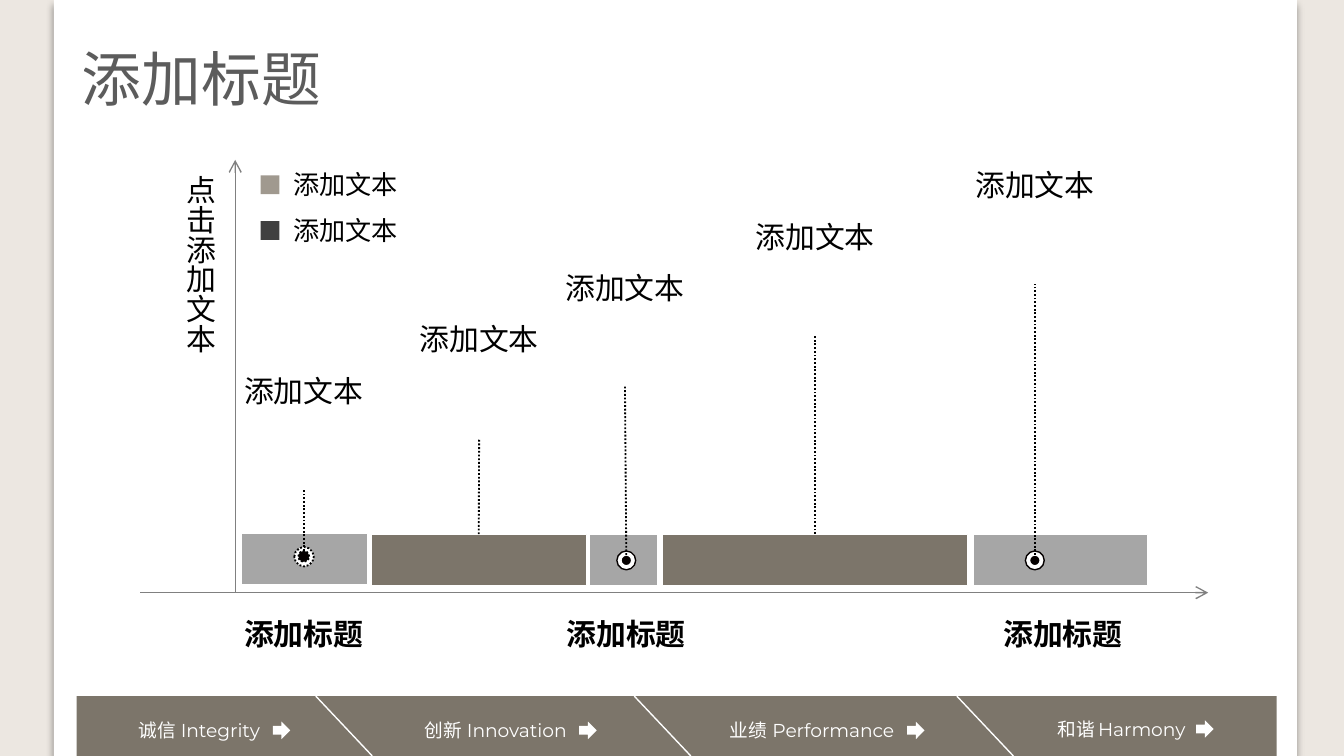
from dataclasses import dataclass

from pptx import Presentation
from pptx.dml.color import RGBColor
from pptx.enum.dml import MSO_LINE
from pptx.enum.shapes import MSO_CONNECTOR, MSO_SHAPE as SHAPE
from pptx.enum.text import MSO_ANCHOR, PP_ALIGN as ALIGN
from pptx.oxml import parse_xml
from pptx.oxml.ns import nsdecls, qn
from pptx.oxml.xmlchemy import OxmlElement
from pptx.util import Pt

PX = 4572  # 200 px to the inch


@dataclass(frozen=True)
class Theme:
    cjk: str = "Noto Sans CJK SC"
    latin: str = "Montserrat"
    black: str = "000000"
    white: str = "FFFFFF"
    dot: str = "050000"
    margin: str = "ECE7E1"
    taupe: str = "7C756A"
    light_taupe: str = "A0998F"
    charcoal: str = "404040"
    axis: str = "808080"
    gray: str = "A6A6A6"
    title_size: int = 32
    label_size: int = 16
    legend_size: int = 14
    footer_size: int = 10


T = Theme()
prs = Presentation()
prs.slide_width, prs.slide_height = 2000 * PX, 1125 * PX
s = prs.slides.add_slide(prs.slide_layouts[5])
title = s.shapes.title


def add_box(box, fill=None, text="", size=T.label_size, color=T.black, font=T.cjk,
            align=ALIGN.CENTER, wrap=True, kind=SHAPE.RECTANGLE, outline=None):
    """Add a filled preset shape, or a text box when no fill is given."""
    place = [v * PX for v in box]
    if fill:
        sp = s.shapes.add_shape(kind, *place)
        sp.shadow.inherit = False
        sp.fill.solid()
        sp.fill.fore_color.rgb = RGBColor.from_string(fill)
        if outline:
            sp.line.color.rgb = RGBColor.from_string(outline)
            sp.line.width = 0
        else:
            sp.line.fill.background()
        return sp
    sp = s.shapes.add_textbox(*place)
    tf = sp.text_frame
    tf.word_wrap = wrap
    tf.text = text
    p = tf.paragraphs[0]
    p.alignment = align
    r = p.runs[0]
    r.font.size = Pt(size)
    r.font.name = font
    r.font.color.rgb = RGBColor.from_string(color)
    r.font._element.append(parse_xml(f'<a:ea {nsdecls("a")} typeface="{font}"/>'))
    return sp


def add_line(x1, y1, x2, y2, color, width=0.75, dotted=False, arrow=False):
    line = s.shapes.add_connector(MSO_CONNECTOR.STRAIGHT, x1 * PX, y1 * PX, x2 * PX, y2 * PX)
    line.line.color.rgb = RGBColor.from_string(color)
    line.line.width = Pt(width)
    if dotted:
        line.line.dash_style = MSO_LINE.ROUND_DOT
    if arrow:
        tail = OxmlElement("a:tailEnd")
        tail.set("type", "arrow")
        line.line._ln.append(tail)
    line._element.spPr.append(OxmlElement("a:effectLst"))
    return line


# Background page and footer band
add_box((0, 0, 2000, 1125), T.margin)
page = add_box((80, 0, 1850, 1125), T.white)
page._element.spPr.find(qn("a:effectLst")).append(parse_xml(
    f'<a:outerShdw {nsdecls("a")} blurRad="50800" dist="38100" dir="5400000">'
    '<a:srgbClr val="000000"><a:alpha val="40000"/></a:srgbClr></a:outerShdw>'))
add_box((114, 1036, 1786, 89), T.taupe)

for left, top, width, chinese, english in (
        (186, 1060, 172, "诚信", "Integrity"),
        (612, 1060, 202, "创新", "Innovation"),
        (1066, 1060, 236, "业绩", "Performance"),
        (1554, 1058, 178, "和谐", "Harmony")):
    footer = dict(size=T.footer_size, color=T.white, wrap=False)
    add_box((left + 56, top, width, 54), text=english, font=T.latin, **footer)
    add_box((left + 48 + width, top + 14, 26, 26), T.white, kind=SHAPE.RIGHT_ARROW)
    add_box((left, top, 96, 54), text=chinese, **footer)
for x in (470, 944, 1424):
    add_line(x, 1036, x + 84, 1125, T.white)

# Title, brought in front of the page
s.shapes._spTree.append(title._element)
title.left, title.top, title.width, title.height = [v * PX for v in (102, 52, 400, 128)]
tf = title.text_frame
tf.text = "添加标题"
tf.word_wrap = False
tf.vertical_anchor = MSO_ANCHOR.TOP
p = tf.paragraphs[0]
p.alignment = ALIGN.LEFT
r = p.runs[0]
r.font.size = Pt(T.title_size)
r.font.name = T.cjk
r.font.color.rgb = RGBColor.from_string(T.black)
r.font._element.append(parse_xml(f'<a:ea {nsdecls("a")} typeface="{T.cjk}"/>'))
alpha = OxmlElement("a:alpha")
alpha.set("val", "63000")
r.font._element.find(".//" + qn("a:srgbClr")).append(alpha)

# Legend
for top, color in ((261, T.light_taupe), (329, T.charcoal)):
    add_box((388, top, 28, 28), color)
    add_box((417, top - 20, 204, 68), text="添加文本", size=T.legend_size, align=ALIGN.LEFT)

# Axes
add_line(350, 882, 1798, 882, T.axis, arrow=True)
add_line(350, 882, 350, 238, T.axis, arrow=True)
add_line(350, 882, 208, 882, T.axis)
axis_name = add_box((198, 241, 136, 642), text="点击添加文本", align=ALIGN.LEFT)
axis_name.text_frame._txBody.bodyPr.set("vert", "eaVert")

for left, width in ((275, 354), (769, 326), (1406, 352)):
    heading = add_box((left, 906, width, 74), text="添加标题")
    heading.text_frame.paragraphs[0].runs[0].font.bold = True

# Timeline bars: label left, bar left, top and width, dot centre and diameter
stages = (
    (302, 359, 794, 188, (452, 828, 29)),
    (563, 552, 795, 321, None),
    (780, 877, 795, 102, (932, 834, 28)),
    (1063, 986, 795, 454, None),
    (1390, 1448, 795, 260, (1540, 834, 28)),
)
for i, (label_left, left, top, width, dot) in enumerate(stages):
    label_top = 544 - 153 * i // 2
    stem_x, stem_top = label_left + 150, label_top + 184
    bar = add_box((left, top, width, 76), T.gray if dot else T.taupe, outline=T.white)
    if dot:
        x, y, d = dot
        for size, fill, edge in ((d, T.white, T.dot), (16, T.dot, T.white)):
            ring = add_box((x - size // 2, y - size // 2, size, size), fill,
                           kind=SHAPE.OVAL, outline=edge)
            if i == 0:
                ring.line.color.rgb = RGBColor.from_string(T.black)
                ring.line.width = Pt(1)
                ring.line.dash_style = MSO_LINE.ROUND_DOT
        add_line(x, y - 8, stem_x, stem_top, T.black, 1, dotted=True)
    else:
        stem = add_line(stem_x, top, stem_x, stem_top, T.black, 1, dotted=True)
        stem.begin_connect(bar, 0)
    add_box((label_left, label_top, 300, 184), text="添加文本")

prs.save("out.pptx")
